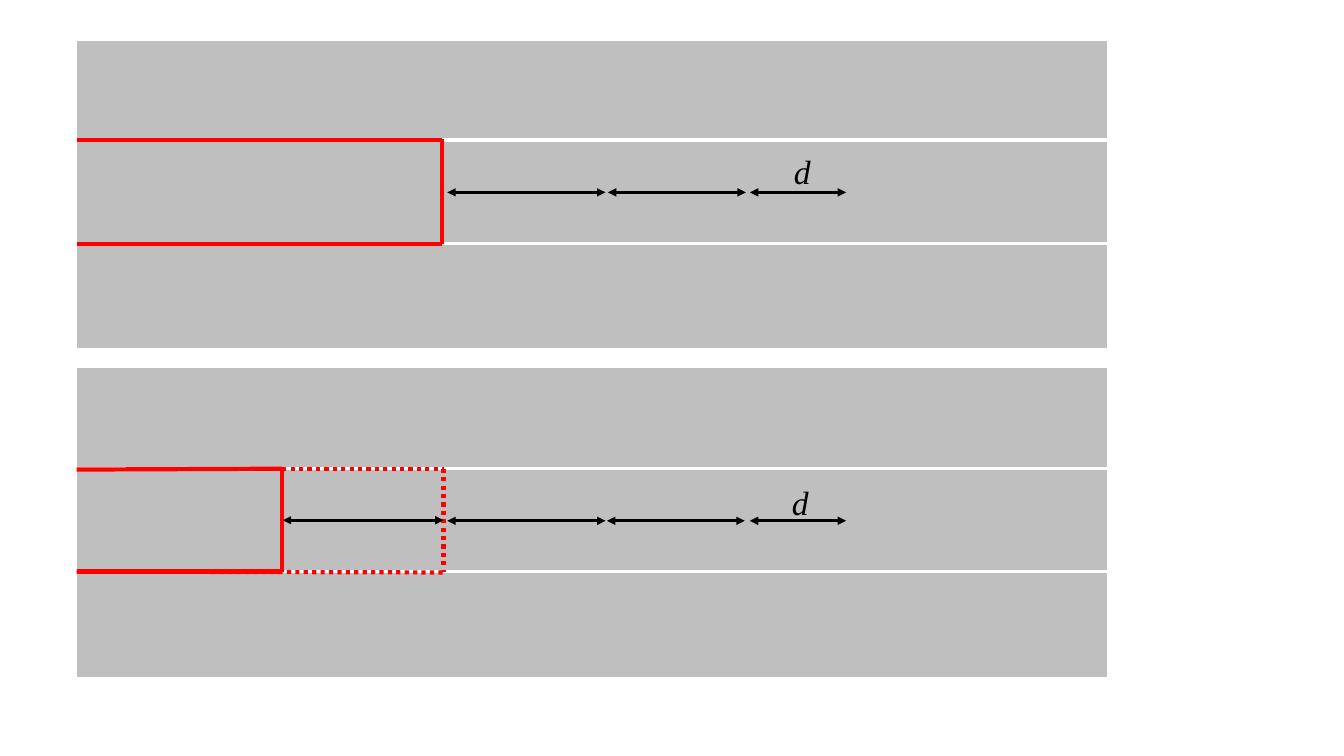
from lxml import etree
from pptx import Presentation
from pptx.dml.color import RGBColor
from pptx.enum.dml import MSO_LINE
from pptx.enum.shapes import MSO_CONNECTOR, MSO_SHAPE
from pptx.enum.text import MSO_AUTO_SIZE, PP_ALIGN
from pptx.oxml.ns import qn
from pptx.util import Pt

STRAIGHT = MSO_CONNECTOR.STRAIGHT
RECT = MSO_SHAPE.RECTANGLE
DOTTED = MSO_LINE.ROUND_DOT
CENTER = PP_ALIGN.CENTER
FIT_SHAPE = MSO_AUTO_SIZE.SHAPE_TO_FIT_TEXT

COLORS = {"band": "BFBFBF", "gap": "FFFFFF", "crack": "FF0000", "ink": "000000"}
FONT = "Times New Roman"
LEFT, RIGHT = 54.7, 791.3
PANEL_HEIGHT = 222.5


def color(name):
    return RGBColor.from_string(COLORS[name])


def add_line(group, start, end, name, width, dash=None):
    cxn = group.shapes.add_connector(STRAIGHT, Pt(start[0]), Pt(start[1]), Pt(end[0]), Pt(end[1]))
    cxn.line.color.rgb = color(name)
    cxn.line.width = Pt(width)
    if dash is not None:
        cxn.line.dash_style = dash
    etree.SubElement(cxn._element.spPr, qn("a:effectLst"))
    return cxn


def add_crack(group, start, end, dash=None):
    add_line(group, start, end, "crack", 3, dash)


def add_span(group, x1, x2, y):
    ln = add_line(group, (x1, y), (x2, y), "ink", 2).get_or_add_ln()
    for tag in ("a:headEnd", "a:tailEnd"):
        etree.SubElement(ln, qn(tag), type="triangle")


def add_label(group, text, x, y, w, h):
    sp = group.shapes.add_textbox(Pt(x), Pt(y), Pt(w), Pt(h))
    tf = sp.text_frame
    tf.word_wrap = True
    tf.auto_size = FIT_SHAPE
    p = tf.paragraphs[0]
    p.alignment = CENTER
    r = p.add_run()
    r.text = text
    r.font.name = FONT
    r.font.size = Pt(24)
    r.font.italic = True
    r.font.color.rgb = color("ink")


def add_panel(slide, top, edges):
    group = slide.shapes.add_group_shape()
    sp = group.shapes.add_shape(RECT, Pt(LEFT), Pt(top), Pt(RIGHT - LEFT), Pt(PANEL_HEIGHT))
    sp.shadow.inherit = False
    sp.fill.solid()
    sp.fill.fore_color.rgb = color("band")
    sp.line.color.rgb = color("gap")
    sp.line.width = Pt(1)
    for y in edges:
        add_line(group, (LEFT, y), (RIGHT, y), "gap", 2.25)
    return group


def add_initial_state(slide):
    upper, lower, tip = 100, 174.2, 316
    group = add_panel(slide, 28.1, (28.1, upper, lower, 249.8))
    add_crack(group, (tip, upper - 0.5), (tip, lower))
    for x1, x2 in ((319.5, 432.5), (434.2, 532.8), (535.6, 604.4)):
        add_span(group, x1, x2, 137.4)
    add_label(group, "d", 538.6, 104.4, 69, 36)
    for y in (upper, lower):
        add_crack(group, (tip, y), (LEFT, y))


def add_shifted_state(slide):
    upper, lower, tip, old_tip = 334.8, 408.3, 201.6, 316.8
    group = add_panel(slide, 261.4, (262, upper, lower, 484.6))
    add_crack(group, (old_tip, upper), (old_tip, lower), DOTTED)
    for x1, x2 in ((319.5, 432.5), (433.6, 532), (535.6, 604.4)):
        add_span(group, x1, x2, 372)
    add_label(group, "d", 545, 340.6, 53.3, 36)
    add_crack(group, (tip, upper), (tip, lower))
    add_span(group, 202, old_tip, 371.6)
    add_crack(group, (tip, upper), (old_tip, upper), DOTTED)
    add_crack(group, (LEFT, lower), (old_tip, lower + 0.6), DOTTED)
    add_crack(group, (tip, upper), (LEFT, upper + 0.6))
    add_crack(group, (tip, lower), (LEFT, lower))


def main():
    prs = Presentation()
    prs.slide_width = Pt(960)
    prs.slide_height = Pt(540)
    slide = prs.slides.add_slide(prs.slide_layouts[6])
    add_initial_state(slide)
    add_shifted_state(slide)
    prs.save("out.pptx")


if __name__ == "__main__":
    main()
